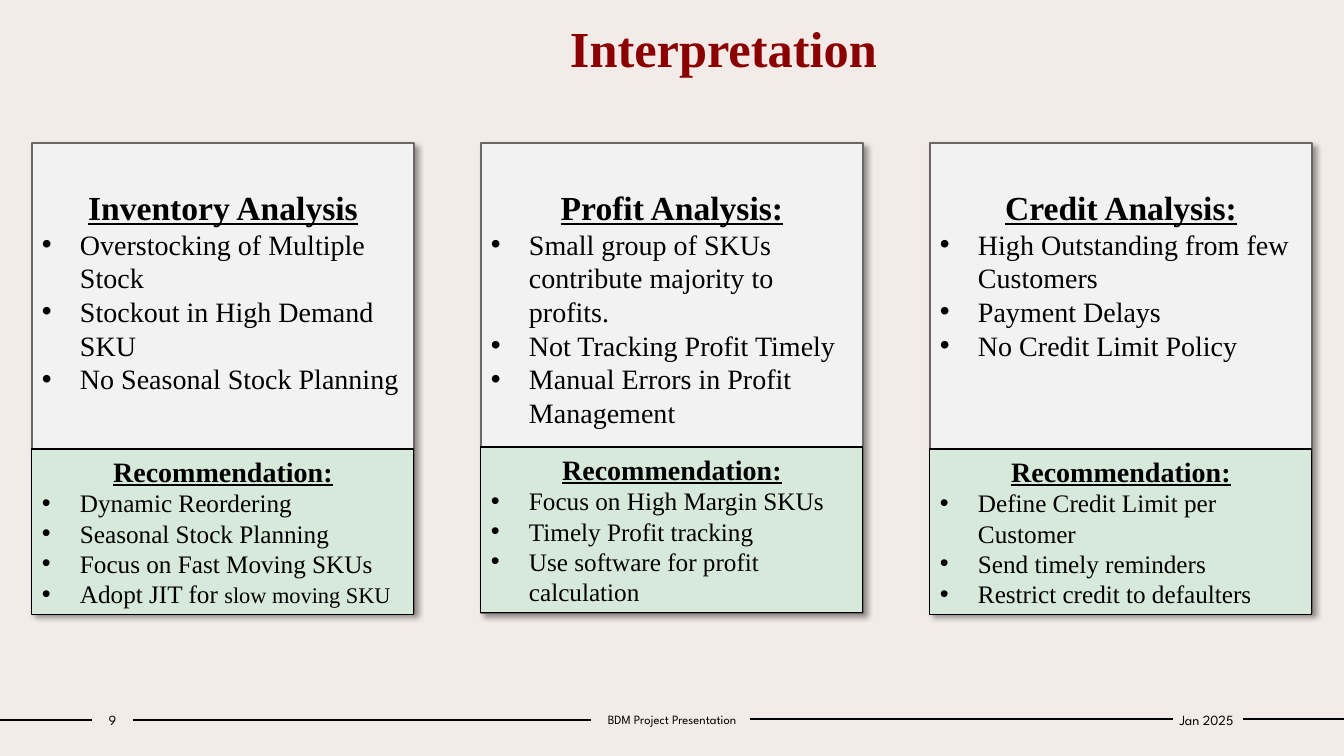
from dataclasses import dataclass

from lxml import etree
from pptx import Presentation
from pptx.dml.color import RGBColor
from pptx.enum.shapes import MSO_CONNECTOR, MSO_SHAPE
from pptx.enum.text import MSO_ANCHOR, MSO_AUTO_SIZE, PP_ALIGN
from pptx.oxml.ns import qn
from pptx.util import Emu, Pt

RECT, STRAIGHT = MSO_SHAPE.RECTANGLE, MSO_CONNECTOR.STRAIGHT
TOP, MIDDLE = MSO_ANCHOR.TOP, MSO_ANCHOR.MIDDLE
LEFT, CENTER = PP_ALIGN.LEFT, PP_ALIGN.CENTER
FIT_SHAPE = MSO_AUTO_SIZE.SHAPE_TO_FIT_TEXT

# Content
TITLE = "Interpretation"
ADVICE_HEADING = "Recommendation:"
ANALYSES = [
    {"heading": "Inventory Analysis",
     "findings": ["Overstocking of Multiple Stock", "Stockout in High Demand SKU",
                  "No Seasonal Stock Planning"],
     "advice": ["Dynamic Reordering", "Seasonal Stock Planning",
                "Focus on Fast Moving SKUs", ("Adopt JIT for ", "slow moving SKU")],
     "advice_top": 449},
    {"heading": "Profit Analysis:",
     "findings": ["Small group of SKUs contribute majority to profits.",
                  "Not Tracking Profit Timely", "Manual Errors in Profit Management"],
     "advice": ["Focus on High Margin SKUs", "Timely Profit tracking",
                "Use software for profit calculation"],
     "advice_top": 447},
    {"heading": "Credit Analysis:",
     "findings": ["High Outstanding from few Customers", "Payment Delays",
                  "No Credit Limit Policy"],
     "advice": ["Define Credit Limit per Customer", "Send timely reminders",
                "Restrict credit to defaulters"],
     "advice_top": 449},
]
# Footer: text, left, width, size in points
FOOTER = [("9", 92, 41, 10), ("BDM Project Presentation", 579, 186, 9),
          ("Jan 2025", 1171, 71, 10)]
# Footer rules: from x, to x, y
RULES = [(0, 92, 720), (133, 591, 720), (750, 1173, 719), (1243, 1344, 719)]


@dataclass(frozen=True)
class Theme:
    background: str = "F3EBE8"
    title: str = "8B0000"
    ink: str = "000000"
    card: str = "F2F2F2"
    card_edge: str = "6B6766"
    advice: str = "D7E9DB"
    body_font: str = "Times New Roman"
    footer_font: str = "League Spartan"
    title_size: int = 36
    heading_size: int = 24
    finding_size: int = 20
    advice_size: int = 18
    small_size: int = 16


THEME = Theme()

# Layout in px
SLIDE_W, SLIDE_H = 1344, 756
MARGIN, CARD_W, CARD_TOP, CARD_H = 32, 382, 143, 470
PITCH = (SLIDE_W - 2 * MARGIN - CARD_W) // (len(ANALYSES) - 1)
ADVICE_H, INSET_X, INSET_Y, INDENT = 166, 10, 5, 38
HEADING_DROP = 44
FOOTER_TOP, FOOTER_H = 706, 27


def px(n):
    return Emu(round(n * 914400 / 100.8))


def color(code):
    return RGBColor.from_string(code)


def add_run(paragraph, text, size, font=THEME.body_font, ink=THEME.ink, strong=False):
    run = paragraph.add_run()
    run.text = text
    run.font.name, run.font.size = font, Pt(size)
    run.font.color.rgb = color(ink)
    run.font.bold = strong
    return run


def set_frame(frame, anchor, inset_x, top, bottom=INSET_Y, wrap=True):
    frame.word_wrap, frame.vertical_anchor = wrap, anchor
    frame.margin_left = frame.margin_right = px(inset_x)
    frame.margin_top, frame.margin_bottom = px(top), px(bottom)


def add_panel(slide, box, fill, edge, weight):
    panel = slide.shapes.add_shape(RECT, *map(px, box))
    panel.shadow.inherit = False
    panel.fill.solid()
    panel.fill.fore_color.rgb = color(fill)
    panel.line.color.rgb = color(edge)
    panel.line.width = Pt(weight)
    return panel


def add_drop_shadow(panel):
    effects = panel._element.spPr.find(qn("a:effectLst"))
    shadow = etree.SubElement(effects, qn("a:outerShdw"), blurRad=str(Pt(4)),
                              dist=str(Pt(3)), dir="2700000", algn="tl", rotWithShape="0")
    ink = etree.SubElement(shadow, qn("a:srgbClr"), val=THEME.ink)
    etree.SubElement(ink, qn("a:alpha"), val="40000")


def write_list(frame, heading, heading_size, items, item_size):
    first = frame.paragraphs[0]
    first.alignment = CENTER
    add_run(first, heading, heading_size, strong=True).font.underline = True
    for item in items:
        paragraph = frame.add_paragraph()
        paragraph.alignment = LEFT
        props = paragraph._p.get_or_add_pPr()
        props.set("marL", str(px(INDENT)))
        props.set("indent", str(-px(INDENT)))
        etree.SubElement(props, qn("a:buFont"), typeface="Arial")
        etree.SubElement(props, qn("a:buChar"), char="•")
        parts = (item,) if isinstance(item, str) else item
        for part, size in zip(parts, (item_size, THEME.small_size)):
            add_run(paragraph, part, size)


def main():
    prs = Presentation()
    prs.slide_width, prs.slide_height = px(SLIDE_W), px(SLIDE_H)
    slide = prs.slides.add_slide(prs.slide_layouts[5])
    slide.background.fill.solid()
    slide.background.fill.fore_color.rgb = color(THEME.background)

    # Footer rules and texts
    for start, end, y in RULES:
        rule = slide.shapes.add_connector(STRAIGHT, px(start), px(y), px(end), px(y))
        rule.line.color.rgb = color(THEME.ink)
        rule.line.width = Pt(1)
        etree.SubElement(rule._element.spPr, qn("a:effectLst"))
    for text, left, width, size in FOOTER:
        note = slide.shapes.add_textbox(px(left), px(FOOTER_TOP), px(width), px(FOOTER_H))
        set_frame(note.text_frame, MIDDLE, 0, INSET_Y)
        paragraph = note.text_frame.paragraphs[0]
        paragraph.alignment = CENTER
        add_run(paragraph, text, size, THEME.footer_font)

    # Title
    title = slide.shapes.title
    title.left, title.top, title.width, title.height = map(px, (560, 12, 331, 72))
    set_frame(title.text_frame, TOP, INSET_X, INSET_Y, wrap=False)
    title.text_frame.auto_size = FIT_SHAPE
    paragraph = title.text_frame.paragraphs[0]
    paragraph.alignment = LEFT
    add_run(paragraph, TITLE, THEME.title_size, ink=THEME.title, strong=True)

    # Analysis cards with their recommendations
    for i, analysis in enumerate(ANALYSES):
        left = MARGIN + i * PITCH
        card = add_panel(slide, (left, CARD_TOP, CARD_W, CARD_H),
                         THEME.card, THEME.card_edge, 1.5)
        add_drop_shadow(card)
        set_frame(card.text_frame, TOP, INSET_X, HEADING_DROP)
        write_list(card.text_frame, analysis["heading"], THEME.heading_size,
                   analysis["findings"], THEME.finding_size)

        advice = add_panel(slide, (left, analysis["advice_top"], CARD_W, ADVICE_H),
                           THEME.advice, THEME.ink, 0.75)
        set_frame(advice.text_frame, TOP, INSET_X, INSET_Y)
        advice.text_frame.auto_size = FIT_SHAPE
        write_list(advice.text_frame, ADVICE_HEADING, THEME.finding_size,
                   analysis["advice"], THEME.advice_size)

    prs.save("out.pptx")


if __name__ == "__main__":
    main()
